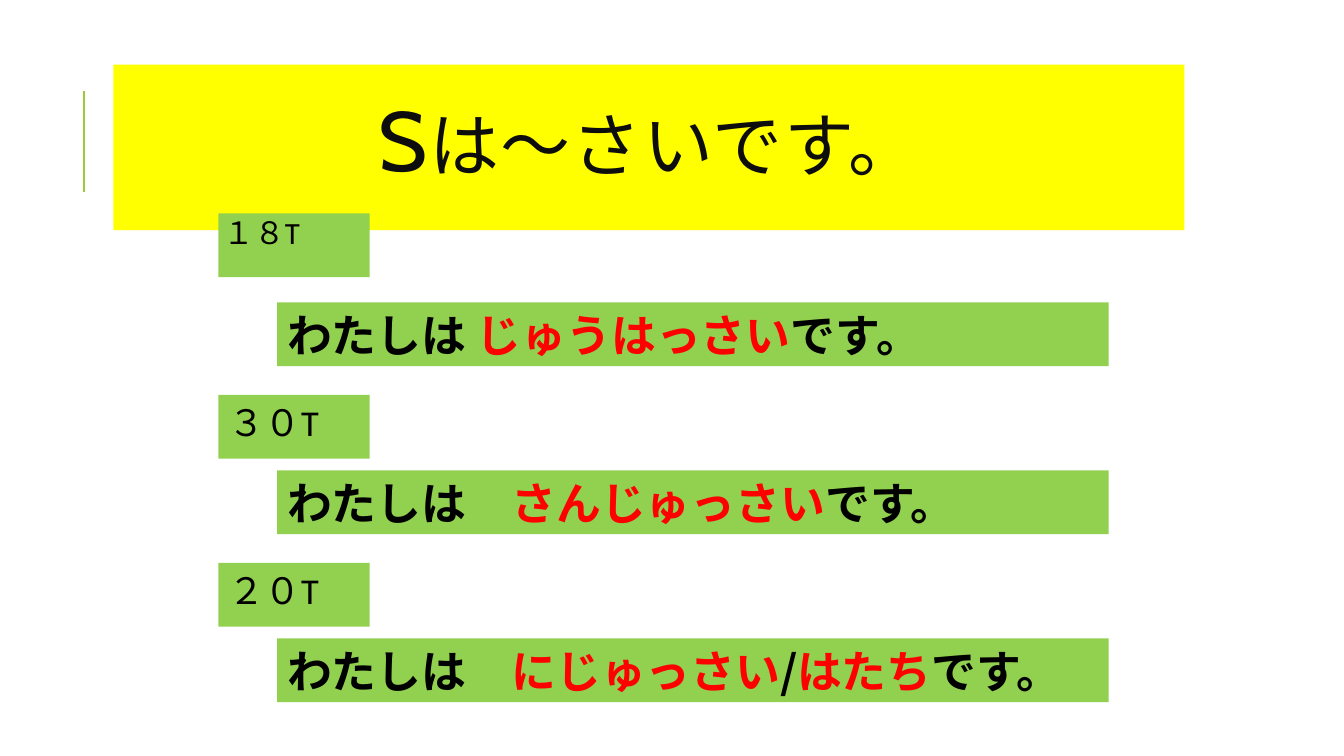
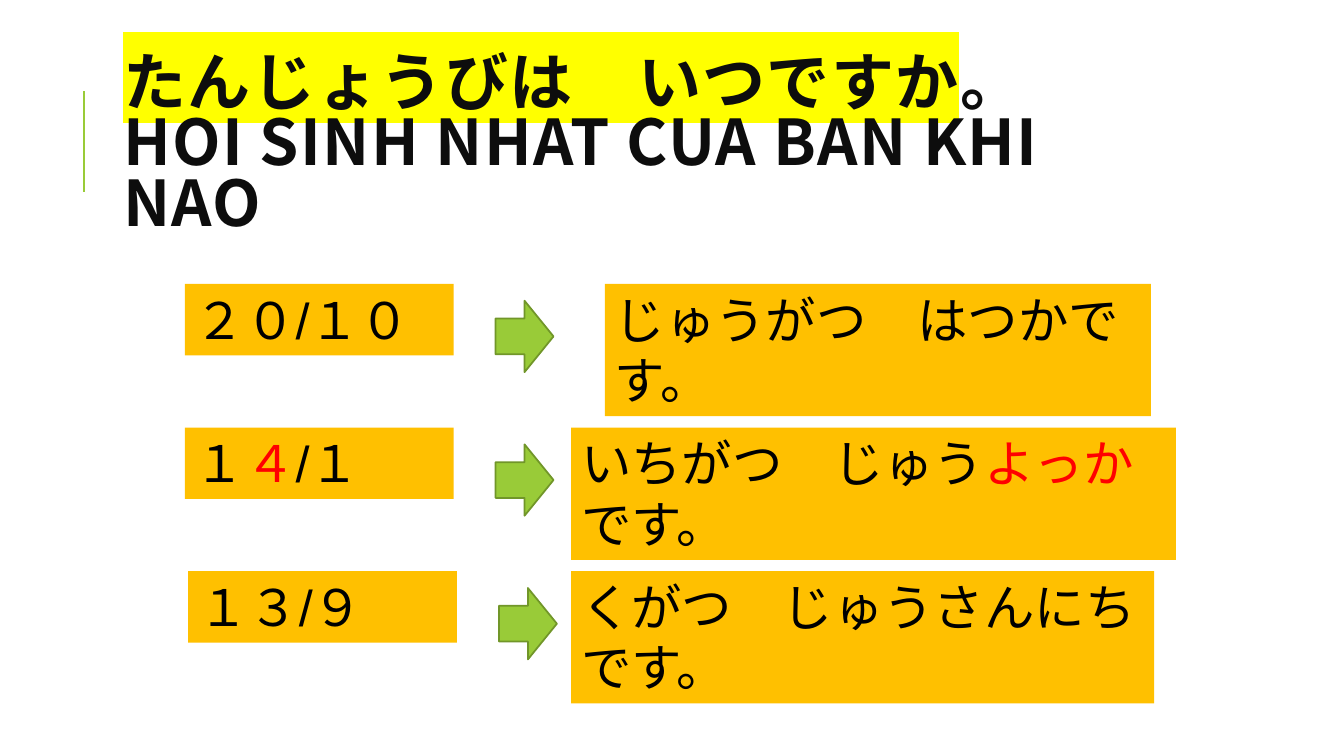
"""Build two Japanese lesson slides on telling one's age and birthday."""
from dataclasses import dataclass
from typing import Any

from lxml import etree
from pptx import Presentation
from pptx import util as u
from pptx.dml.color import RGBColor
from pptx.enum import shapes, text
from pptx.oxml.ns import qn


@dataclass(frozen=True)
class Theme:
    ink: str = "000000"
    title_ink: str = "0D0D0D"
    accent: str = "FF0000"
    yellow: str = "FFFF00"
    green: str = "92D050"
    orange: str = "FFC000"
    lime: str = "99CB38"
    lime_edge: str = "719629"
    title_font: str = "Cabin"
    label_font: str = "Calibri"
    date_font: str = "Arial"
    japanese_font: str = "Noto Sans CJK JP"
    letter_size: int = 60
    pattern_size: int = 50
    question_size: int = 45
    date_size: int = 36
    sentence_size: int = 32
    label_size: int = 26
    first_label_size: int = 22


THEME = Theme()
COLUMNS, ROWS = 160, 90
TITLE_AREA = (13.5, 7.7, 127.5, 19.7)


def write(paragraph, content, *, font, size, color=THEME.ink, bold=False,
          spacing=0, highlight=None):
    if content == "\n":
        paragraph.add_line_break()
        return
    run = paragraph.add_run()
    run.text = content
    run.font.name = font
    run.font.size = u.Pt(size)
    run.font.bold = bold
    run.font.color.rgb = RGBColor.from_string(color)
    properties = run.font._element
    latin = properties.find(qn("a:latin"))
    east_asian = etree.Element(qn("a:ea"), typeface=THEME.japanese_font)
    latin.addnext(east_asian)
    if spacing:
        properties.set("spc", str(spacing * 100))
    if highlight:
        mark = etree.Element(qn("a:highlight"))
        etree.SubElement(mark, qn("a:srgbClr"), val=highlight)
        latin.addprevious(mark)


@dataclass
class Deck:
    presentation: Any
    slide: Any = None

    def x(self, columns):
        return round(self.presentation.slide_width * columns / COLUMNS)

    def y(self, rows):
        return round(self.presentation.slide_height * rows / ROWS)

    def area(self, left, top, width, height):
        return self.x(left), self.y(top), self.x(width), self.y(height)

    def new_slide(self):
        self.slide = self.presentation.slides.add_slide(self.presentation.slide_layouts[6])
        rule = self.slide.shapes.add_connector(
            shapes.MSO_CONNECTOR.STRAIGHT, self.x(10), self.y(22.8), self.x(10), self.y(10.8))
        rule.line.color.rgb = RGBColor.from_string(THEME.lime)
        rule.line.width = u.Pt(1.5)
        etree.SubElement(rule._element.spPr, qn("a:effectLst"))

    def figure(self, kind, area, fill, edge=None):
        shape = self.slide.shapes.add_shape(kind, *self.area(*area))
        shape.shadow.inherit = False
        shape.fill.solid()
        shape.fill.fore_color.rgb = RGBColor.from_string(fill)
        if edge:
            shape.line.color.rgb = RGBColor.from_string(edge)
            shape.line.width = u.Pt(1.25)
        else:
            shape.line.fill.background()
        return shape

    def fill_text(self, shape, runs, *, middle=False, centered=False,
                  line_spacing=1.0, inset=None, **style):
        frame = shape.text_frame
        frame.word_wrap = True
        frame.vertical_anchor = text.MSO_ANCHOR.MIDDLE if middle else text.MSO_ANCHOR.TOP
        if inset is not None:
            frame.margin_left = frame.margin_right = u.Inches(inset)
            frame.margin_top = frame.margin_bottom = u.Inches(inset)
        paragraph = frame.paragraphs[0]
        paragraph.alignment = text.PP_ALIGN.CENTER if centered else text.PP_ALIGN.LEFT
        paragraph.line_spacing = line_spacing
        for content, changes in runs:
            write(paragraph, content, **{**style, **changes})

    def title(self, runs, *, fill=None, **style):
        if fill:
            shape = self.figure(shapes.MSO_SHAPE.RECTANGLE, TITLE_AREA, fill)
        else:
            shape = self.slide.shapes.add_textbox(*self.area(*TITLE_AREA))
        self.fill_text(shape, runs, middle=True, line_spacing=0.8,
                       color=THEME.title_ink, spacing=1, **style)

    def box(self, area, fill, runs, **style):
        shape = self.figure(shapes.MSO_SHAPE.RECTANGLE, area, fill)
        self.fill_text(shape, runs, **style)

    def arrow(self, area):
        self.figure(shapes.MSO_SHAPE.RIGHT_ARROW, area, THEME.lime, THEME.lime_edge)


def plain(content):
    return content, {}


def red(content):
    return content, {"color": THEME.accent}


def build_ages(deck):
    deck.new_slide()
    deck.title([("S", {"size": THEME.letter_size}), plain("は～さいです。")],
               fill=THEME.yellow, centered=True,
               font=THEME.title_font, size=THEME.pattern_size)
    small = {"size": THEME.first_label_size, "inset": 0.05, "line_spacing": 0.9}
    regular = {"size": THEME.label_size}
    ages = [
        ("１８T", 25.4, small, [plain("わたしは "), red("じゅうはっさい")]),
        ("３０T", 47, regular, [plain("わたしは　"), red("さんじゅっさい")]),
        ("２０T", 67, regular,
         [plain("わたしは　"), red("にじゅっさい"), plain("/"), red("はたち")]),
    ]
    for index, (label, label_top, label_style, sentence) in enumerate(ages):
        deck.box((26, label_top, 18, 7.6), THEME.green, [plain(label)],
                 font=THEME.label_font, **label_style)
        deck.box((33, 36 + 20 * index, 99, 7.6), THEME.green,
                 sentence + [plain("です。")], middle=True, bold=True,
                 font=THEME.japanese_font, size=THEME.sentence_size)


def build_birthdays(deck):
    deck.new_slide()
    deck.title([("たんじょうびは　いつですか", {"highlight": THEME.yellow}),
                plain("。"), plain("\n"), plain("HOI SINH NHAT CUA BAN KHI NAO")],
               font=THEME.japanese_font, size=THEME.question_size, bold=True)
    style = {"font": THEME.date_font, "size": THEME.date_size}
    birthdays = [
        (0, [plain("２０/１０")], 72, 65, [plain("じゅうがつ　はつかです。")]),
        (0, [plain("１"), red("４"), plain("/１")], 68, 72,
         [plain("いちがつ　じゅう"), red("よっか"), plain("です。")]),
        (0.4, [plain("１３/９")], 68, 69.4, [plain("くがつ　じゅうさんにちです。")]),
    ]
    for index, (shift, date, left, width, reading) in enumerate(birthdays):
        top = 33.8 + 17.1 * index
        deck.box((22 + shift, top, 32, 8.5), THEME.orange, date, **style)
        deck.box((left, top, width, 15.75), THEME.orange, reading, **style)
        deck.arrow((59 + shift, top + 2, 6.9, 8.5))


def main():
    presentation = Presentation()
    presentation.slide_width = u.Inches(13.33)
    presentation.slide_height = u.Inches(7.5)
    deck = Deck(presentation)
    build_ages(deck)
    build_birthdays(deck)
    presentation.save("out.pptx")


if __name__ == "__main__":
    main()
